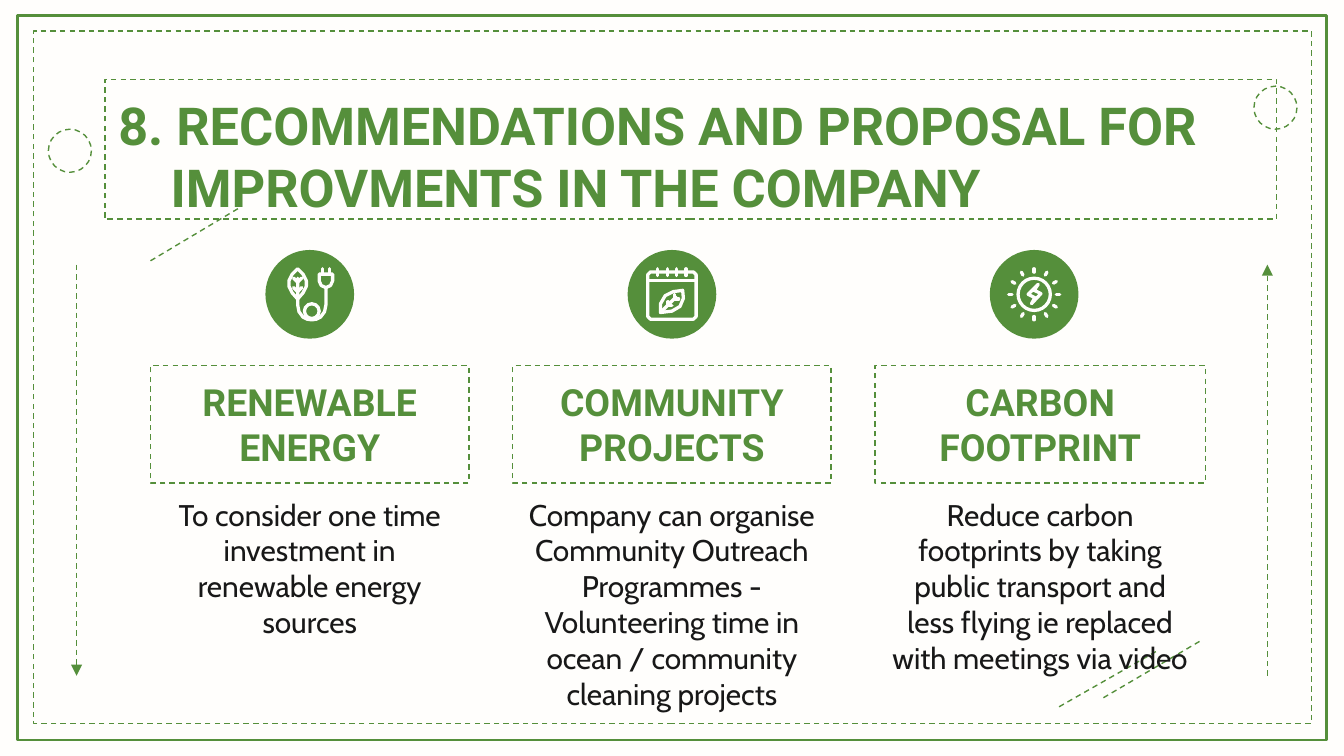
import collections
import math

import pptx
import pptx.dml.color
import pptx.enum.dml
import pptx.enum.shapes
import pptx.enum.text
import pptx.oxml
import pptx.oxml.ns
import pptx.util

GREEN, CREAM, INK = "558F3B", "FFFEFC", "181818"
WIDTH, HEIGHT = pptx.util.Inches(10), pptx.util.Inches(5.625)
COLUMN, ROW = WIDTH / 100, HEIGHT / 100
ICON_UNITS = 66
SHAPE = pptx.enum.shapes.MSO_SHAPE
ALIGN = pptx.enum.text.PP_ALIGN
Box = collections.namedtuple("Box", "left top width height")


def place(box):
    return (round(box.left * COLUMN), round(box.top * ROW),
            round(box.width * COLUMN), round(box.height * ROW))


def colour(value):
    return pptx.dml.color.RGBColor.from_string(value)


def outline(item, value=GREEN, width=0.75, dashed=True):
    item.line.color.rgb = colour(value)
    item.line.width = pptx.util.Pt(width)
    if dashed:
        item.line.dash_style = pptx.enum.dml.MSO_LINE.DASH


def paint(shape, fill):
    shape.shadow.inherit = False
    if fill:
        shape.fill.solid()
        shape.fill.fore_color.rgb = colour(fill)
    else:
        shape.fill.background()


def add_preset(page, kind, box, fill=None):
    shape = page.shapes.add_shape(kind, *place(box))
    paint(shape, fill)
    return shape


def add_line(page, start, end, arrow=False):
    line = page.shapes.add_connector(
        pptx.enum.shapes.MSO_CONNECTOR.STRAIGHT,
        round(start[0] * COLUMN), round(start[1] * ROW),
        round(end[0] * COLUMN), round(end[1] * ROW))
    outline(line)
    properties = line.element.spPr
    if arrow:
        stroke = properties.find(pptx.oxml.ns.qn("a:ln"))
        stroke.append(pptx.oxml.parse_xml(
            f'<a:tailEnd {pptx.oxml.ns.nsdecls("a")} type="triangle"/>'))
    properties.append(pptx.oxml.parse_xml(
        f'<a:effectLst {pptx.oxml.ns.nsdecls("a")}/>'))


def write(shape, text, size, font="Roboto", value=GREEN, bold=True,
          align=ALIGN.CENTER, after=0, hanging=0):
    frame = shape.text_frame
    frame.word_wrap = True
    frame.auto_size = pptx.enum.text.MSO_AUTO_SIZE.NONE
    frame.vertical_anchor = pptx.enum.text.MSO_ANCHOR.TOP
    frame.margin_left = frame.margin_right = pptx.util.Inches(0.1)
    frame.margin_top = frame.margin_bottom = pptx.util.Inches(0.1)
    para = frame.paragraphs[0]
    para.alignment = align
    para.space_after = pptx.util.Pt(after)
    if hanging:
        indent = round(hanging * COLUMN)
        properties = para._p.get_or_add_pPr()
        properties.set("marL", str(indent))
        properties.set("indent", str(-indent))
    span = para.add_run()
    span.text = text
    span.font.name = font
    span.font.size = pptx.util.Pt(size)
    span.font.bold = bold
    span.font.color.rgb = colour(value)


def add_strokes(page, box, strokes, closed=False):
    left, top, width, _ = place(box)
    for points in strokes:
        points = [(10 * x, 10 * y) for x, y in points]
        builder = page.shapes.build_freeform(
            *points[0], scale=width / ICON_UNITS / 10)
        builder.add_line_segments(points[1:], close=closed)
        shape = builder.convert_to_shape(left, top)
        paint(shape, None)
        outline(shape, CREAM, 1.75, dashed=False)
        shape.element.spPr.find(pptx.oxml.ns.qn("a:ln")).set("cap", "rnd")


def add_ring(page, box, x, y, radius):
    across, down = box.width / ICON_UNITS, box.height / ICON_UNITS
    ring = add_preset(page, SHAPE.OVAL, Box(
        box.left + (x - radius) * across, box.top + (y - radius) * down,
        2 * radius * across, 2 * radius * down))
    outline(ring, CREAM, 1.75, dashed=False)


def draw_plug(page, box):
    leaf = [(24, 14), (28, 18), (30.5, 23), (30.5, 27), (28, 32),
            (24, 36.5), (20, 32), (17.5, 27), (17.5, 23), (20, 18)]
    socket = [(40, 18), (50, 18), (50, 23), (48.5, 26.5), (45, 28),
              (41.5, 26.5), (40, 23)]
    cable = [(24, 21), (24, 41), (25, 46), (28, 50), (31, 51.5), (34.5, 52),
             (38, 51.5), (41, 50), (44, 46), (45, 41), (45, 28)]
    veins = [[(21, y), (24, y + 3), (27, y)] for y in (21, 28)]
    prongs = [[(x, 14), (x, 18)] for x in (42.5, 47.5)]
    add_strokes(page, box, [leaf, socket], closed=True)
    add_strokes(page, box, [cable, *veins, *prongs])
    add_ring(page, box, 34.5, 45.5, 5.5)


def draw_calendar(page, box):
    sheet = [(17, 16.4), (49, 16.4), (51, 18.4), (51, 49.6), (49, 51.6),
             (17, 51.6), (15, 49.6), (15, 18.4)]
    leaf = [(24.5, 46.5), (24.5, 40), (28, 34), (34, 31), (41, 30),
            (41.5, 36), (39, 42), (33, 45.5)]
    rings = [[(x, 14), (x, 19)] for x in (22.5, 29.5, 36.5, 43.5)]
    veins = [[(24.5, 46.5), (36, 35)], [(30, 38.5), (30, 41.5), (33, 41.5)],
             [(35, 33), (35, 36.5), (38, 36.5)]]
    add_strokes(page, box, [sheet, leaf], closed=True)
    add_strokes(page, box, [[(15, 23), (51, 23)], *rings, *veins])


def draw_sun(page, box):
    bolt = [(36, 25.5), (28.5, 33), (33.5, 35.5), (31, 40), (38, 32.5),
            (33, 30)]
    rays = []
    for step in range(12):
        angle = step * math.pi / 6
        rays.append([(33 + radius * math.cos(angle),
                      33 + radius * math.sin(angle))
                     for radius in (16.5, 19)])
    add_ring(page, box, 33, 33, 12)
    add_strokes(page, box, [bolt], closed=True)
    add_strokes(page, box, rays)


def add_frame(page, box):
    outline(add_preset(page, SHAPE.RECTANGLE, box), width=1.5, dashed=False)
    outline(add_preset(page, SHAPE.RECTANGLE, Box(
        box.left + 1.2, box.top + 2, box.width - 2.3, box.height - 4.2)))
    for left, top in ((3.6, 17.1), (93.3, 11.4)):
        outline(add_preset(page, SHAPE.OVAL, Box(left, top, 3.2, 5.7), CREAM))
    for start, end in (((82.1, 92.3), (89.3, 84.8)),
                       ((11.2, 34.5), (17.9, 27.4)),
                       ((78.8, 93.5), (86, 86.2))):
        add_line(page, start, end)
    add_line(page, (5.7, 35), (5.7, 89.4), arrow=True)
    add_line(page, (94.3, 89.4), (94.3, 35), arrow=True)


def add_title(page, box, text):
    title = page.shapes.title
    page.shapes.element.append(title.element)
    title.left, title.top, title.width, title.height = place(box)
    outline(title)
    write(title, text, 28, align=ALIGN.LEFT, hanging=3.9)


def add_proposal(page, box, heading, body, draw_icon):
    badge = Box(box.left + 8.55, box.top, 6.6, 11.73)
    label = Box(box.left, box.top + 15.3, box.width, 15.5)
    below = label.top + label.height
    detail = Box(box.left, below, box.width, box.top + box.height - below)
    header = add_preset(page, SHAPE.RECTANGLE, label)
    outline(header)
    write(header, heading, 20)
    write(page.shapes.add_textbox(*place(detail)), body, 16, font="Cabin",
          value=INK, bold=False, after=12)
    add_preset(page, SHAPE.OVAL, badge, GREEN).line.fill.background()
    draw_icon(page, badge)


def main():
    deck = pptx.Presentation()
    deck.slide_width, deck.slide_height = WIDTH, HEIGHT
    page = deck.slides.add_slide(deck.slide_layouts[5])
    page.background.fill.solid()
    page.background.fill.fore_color.rgb = colour(CREAM)
    add_frame(page, Box(1.3, 2.1, 97.4, 95.8))
    add_title(page, Box(7.8, 10.5, 87.2, 18.5),
              "8. RECOMMENDATIONS AND PROPOSAL FOR IMPROVMENTS IN THE COMPANY")
    proposals = [
        (23.7, "RENEWABLE ENERGY",
         "To consider one time investment in renewable energy sources",
         draw_plug),
        (23.7, "COMMUNITY PROJECTS",
         "Company can organise Community Outreach Programmes - "
         "Volunteering time in ocean / community cleaning projects",
         draw_calendar),
        (24.6, "CARBON FOOTPRINT",
         "Reduce carbon footprints by taking public transport and less "
         "flying ie replaced with meetings via video", draw_sun)]
    for index, (width, heading, body, draw_icon) in enumerate(proposals):
        add_proposal(page, Box(11.2 + 26.95 * index, 33.07, width, 62.6),
                     heading, body, draw_icon)
    deck.save("out.pptx")


if __name__ == "__main__":
    main()
